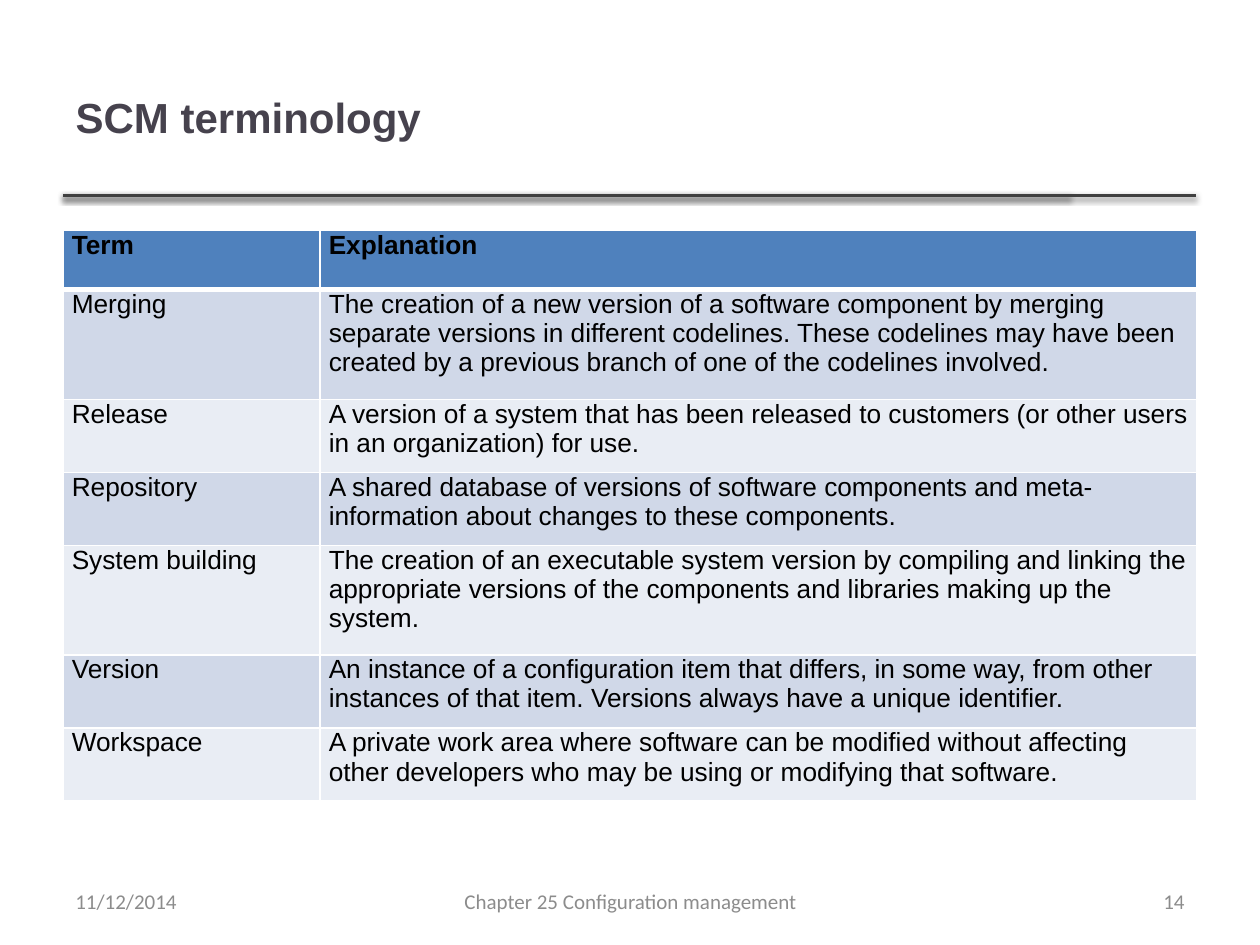
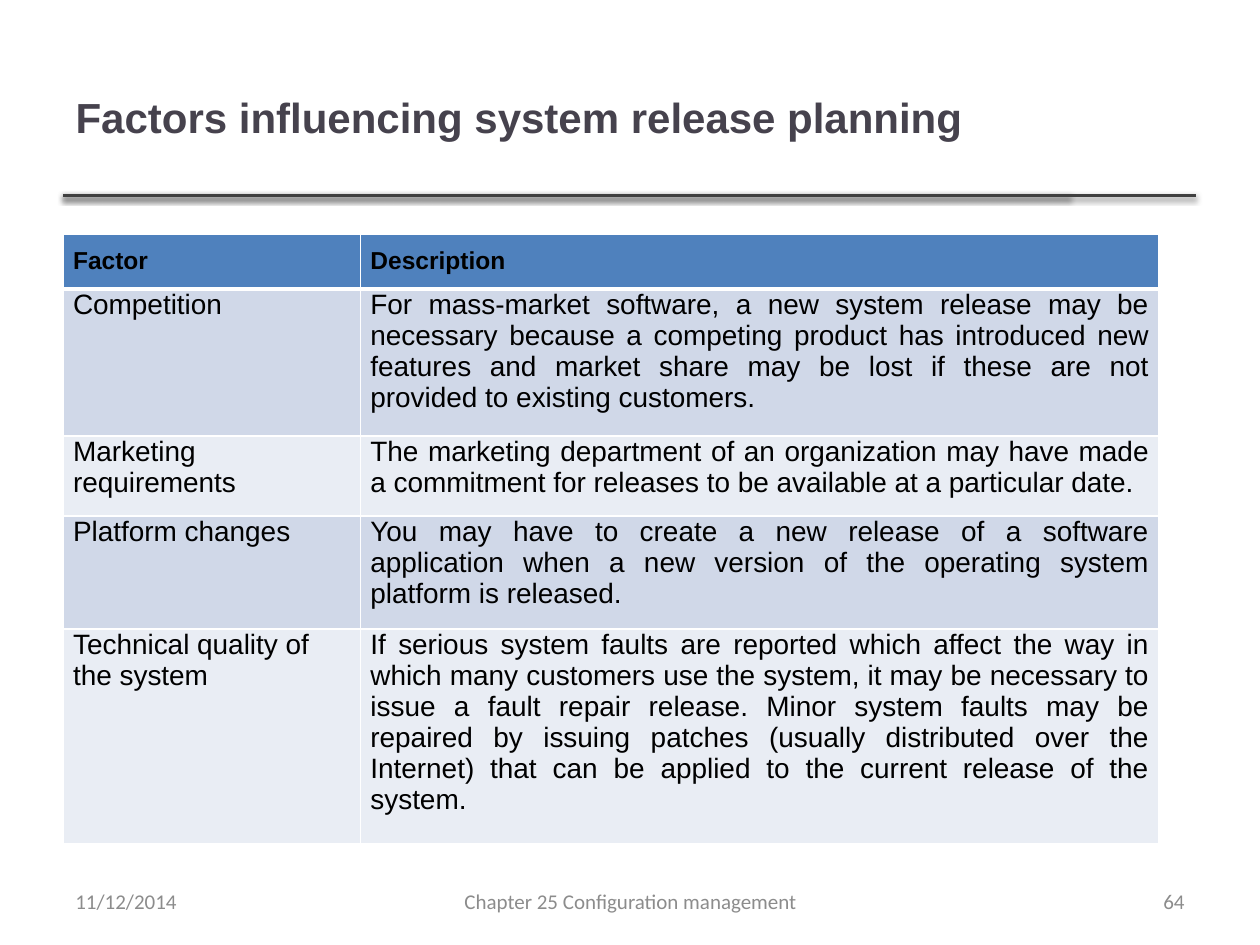
from lxml import etree
from pptx import Presentation
from pptx import util as u
from pptx.dml.color import RGBColor
from pptx.enum import shapes, text
from pptx.oxml import ns

Inches, Pt = u.Inches, u.Pt
ALIGN = text.PP_ALIGN
DATE = "11/12/2014"
CHAPTER = "Chapter 25 Configuration management"

TERMS = [
    ("Term", "Explanation"),
    ("Merging", "The creation of a new version of a software component by merging separate versions in "
     "different codelines. These codelines may have been created by a previous branch of one of the "
     "codelines involved."),
    ("Release", "A version of a system that has been released to customers (or other users in an "
     "organization) for use."),
    ("Repository", "A shared database of versions of software components and meta-information about "
     "changes to these components."),
    ("System building", "The creation of an executable system version by compiling and linking the "
     "appropriate versions of the components and libraries making up the system."),
    ("Version", "An instance of a configuration item that differs, in some way, from other instances of "
     "that item. Versions always have a unique identifier."),
    ("Workspace", "A private work area where software can be modified without affecting other developers "
     "who may be using or modifying that software."),
]

FACTORS = [
    ("Factor", "Description"),
    ("Competition", "For mass-market software, a new system release may be necessary because a competing "
     "product has introduced new features and market share may be lost if these are not provided to "
     "existing customers."),
    ("Marketing requirements", "The marketing department of an organization may have made a commitment "
     "for releases to be available at a particular date."),
    ("Platform changes", "You may have to create a new release of a software application when a new "
     "version of the operating system platform is released."),
    ("Technical quality of the system", "If serious system faults are reported which affect the way in "
     "which many customers use the system, it may be necessary to issue a fault repair release. Minor "
     "system faults may be repaired by issuing patches (usually distributed over the Internet) that can "
     "be applied to the current release of the system."),
]


def rgb(value):
    return RGBColor.from_string(value)


def add_element(parent, tag, **attributes):
    return etree.SubElement(parent, ns.qn(tag), attributes)


class Deck:
    """Holds the shared style and the slide being built."""

    HEADING, RULE, FOOTER, INK, BORDER = "46424D", "404040", "8C8C8C", "000000", "FFFFFF"
    HEADER_FILL, BANDS = "4F81BD", ("D0D8E8", "E9EDF4")
    BODY_FONT, FOOTER_FONT = "Arial", "Calibri"
    LEFT = 0.5

    def __init__(self):
        self.presentation = Presentation()
        self.presentation.slide_width = Inches(10)
        self.presentation.slide_height = Inches(7.5)
        self.slide = None

    def start_slide(self, title, number):
        self.slide = self.presentation.slides.add_slide(self.presentation.slide_layouts[5])
        for right in (8.49, 9.49):
            self.rule(right)
        self.title(title)
        self.footer(CHAPTER, 3.42, 3.17, ALIGN.CENTER)
        self.footer(number, 7.17, 2.33, ALIGN.RIGHT)
        self.footer(DATE, self.LEFT, 2.33, ALIGN.LEFT)

    def style(self, paragraph, font, size, colour, bold=False, align=ALIGN.LEFT):
        paragraph.alignment = align
        paragraph.font.name = font
        paragraph.font.size = Pt(size)
        paragraph.font.bold = bold
        paragraph.font.color.rgb = rgb(colour)

    def title(self, words):
        shape = self.slide.shapes.title
        shape.left, shape.top = Inches(self.LEFT), Inches(0.3)
        shape.width, shape.height = Inches(7.98), Inches(1.25)
        shape.text_frame.text = words
        shape.text_frame.vertical_anchor = text.MSO_ANCHOR.MIDDLE
        self.style(shape.text_frame.paragraphs[0], self.BODY_FONT, 24, self.HEADING, True)

    def rule(self, right):
        line = self.slide.shapes.add_connector(
            shapes.MSO_CONNECTOR.STRAIGHT, Inches(self.LEFT), Inches(1.55), Inches(right), Inches(1.55))
        line.line.color.rgb = rgb(self.RULE)
        line.line.width = Pt(2)
        effects = add_element(line._element.spPr, "a:effectLst")
        shadow = add_element(effects, "a:outerShdw", blurRad=str(Pt(3.1)), dist=str(Pt(1.6)),
                             dir="5400000", rotWithShape="0")
        colour = add_element(shadow, "a:srgbClr", val=self.INK)
        add_element(colour, "a:alpha", val="38000")

    def footer(self, words, left, width, align):
        box = self.slide.shapes.add_textbox(Inches(left), Inches(6.95), Inches(width), Inches(0.4))
        frame = box.text_frame
        frame.word_wrap = True
        frame.vertical_anchor = text.MSO_ANCHOR.MIDDLE
        frame.text = words
        self.style(frame.paragraphs[0], self.FOOTER_FONT, 12, self.FOOTER, align=align)

    def borders(self, cell, top, bottom):
        properties = cell._tc.get_or_add_tcPr()
        sides = {"a:lnL": 1, "a:lnR": 1, "a:lnT": top, "a:lnB": bottom}
        for position, (tag, width) in enumerate(sides.items()):
            line = etree.Element(ns.qn(tag), w=str(Pt(width)))
            add_element(add_element(line, "a:solidFill"), "a:srgbClr", val=self.BORDER)
            properties.insert(position, line)

    def table(self, rows, top, widths, heights, sizes, side_margin,
              header_top=0, bottom_margin=0, space_after=0, justify_body=False):
        table = self.slide.shapes.add_table(
            len(rows), len(widths), Inches(self.LEFT), Inches(top),
            Inches(sum(widths)), Inches(sum(heights))).table
        for column, width in zip(table.columns, widths):
            column.width = Inches(width)
        for row, height in zip(table.rows, heights):
            row.height = Inches(height)
        for i, words in enumerate(rows):
            header = i == 0
            for j, word in enumerate(words):
                cell = table.cell(i, j)
                cell.text = word
                cell.margin_left = cell.margin_right = Inches(side_margin)
                cell.margin_top = Inches(header_top if header else 0)
                cell.margin_bottom = Inches(bottom_margin)
                cell.fill.solid()
                cell.fill.fore_color.rgb = rgb(self.HEADER_FILL if header else self.BANDS[(i - 1) % 2])
                self.borders(cell, 3 if i == 1 else 1, 3 if header else 1)
                paragraph = cell.text_frame.paragraphs[0]
                justified = header or (justify_body and j == 1)
                self.style(paragraph, self.BODY_FONT, sizes[0 if header else 1], self.INK, header,
                           ALIGN.JUSTIFY if justified else ALIGN.LEFT)
                paragraph.space_after = Pt(space_after)


def main():
    deck = Deck()
    deck.start_slide("SCM terminology", "14")
    deck.table(TERMS, 1.83, (2.04, 6.96), (0.47, 0.87, 0.58, 0.58, 0.87, 0.58, 0.58),
               sizes=(15, 15), side_margin=0.07, space_after=2)
    deck.start_slide("Factors influencing system release planning", "64")
    deck.table(FACTORS, 1.86, (2.36, 6.34), (0.41, 1.09, 0.59, 0.84, 1.58),
               sizes=(14, 16), side_margin=0.08, header_top=0.1, bottom_margin=0.1,
               justify_body=True)
    deck.presentation.save("out.pptx")


if __name__ == "__main__":
    main()
